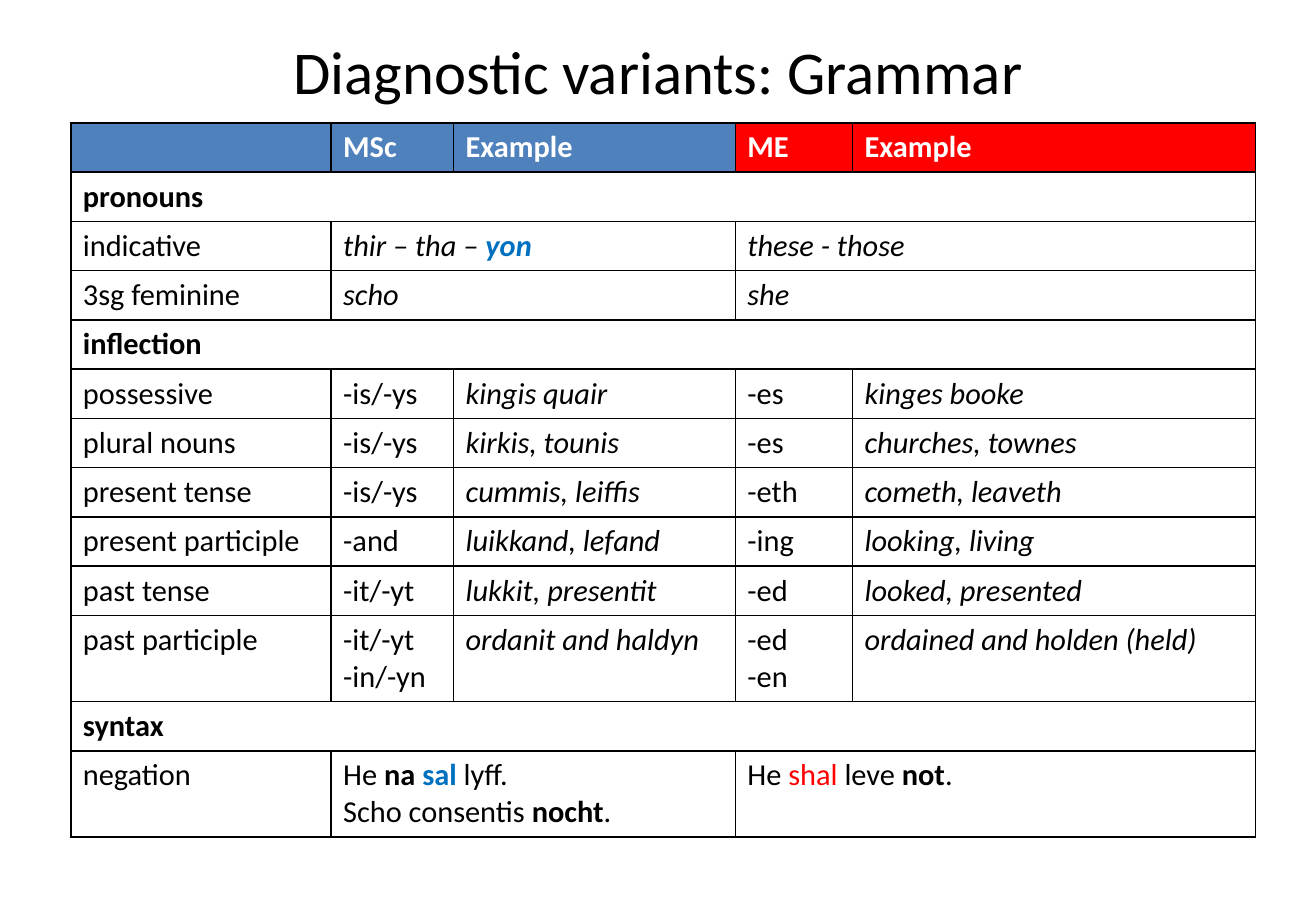
from dataclasses import dataclass

from lxml.etree import SubElement
from pptx import Presentation
from pptx.dml.color import RGBColor
from pptx.enum.text import MSO_ANCHOR, PP_ALIGN
from pptx.oxml.ns import qn
from pptx.table import _Cell
from pptx.text.text import _Paragraph
from pptx.util import Cm, Pt

FONT = "Calibri"
BLACK, WHITE, RED = "000000", "FFFFFF", "FF0000"
SCOTS_HEADER, SCOTS_ACCENT = "4F81BD", "0070C0"
COLUMN_WIDTHS = (5.44, 2.56, 5.89, 2.45, 8.43)
LINE_HEIGHT, CELL_PADDING = 0.77, 0.26


@dataclass(frozen=True)
class Run:
    text: str
    bold: bool = False
    italic: bool = False
    color: str = BLACK


@dataclass(frozen=True)
class Entry:
    lines: tuple[tuple[Run, ...], ...]
    span: int = 1
    fill: str = WHITE


def plain(*texts: str) -> Entry:
    return Entry(tuple((Run(text),) for text in texts))


def italic(text: str) -> Entry:
    return Entry(((Run(text, italic=True),),))


def wide(*lines: tuple[Run, ...]) -> Entry:
    return Entry(lines, span=2)


def header(text: str, fill: str) -> Entry:
    return Entry(((Run(text, bold=True, color=WHITE),),) if text else (), fill=fill)


def section(text: str) -> list[Entry]:
    return [Entry(((Run(text, bold=True),),), span=len(COLUMN_WIDTHS))]


def inflection(name: str, scots: tuple[str, ...], scots_example: str,
               english: tuple[str, ...], english_example: str) -> list[Entry]:
    return [plain(name), plain(*scots), italic(scots_example),
            plain(*english), italic(english_example)]


GRAMMAR_ROWS = [
    [header("", SCOTS_HEADER), header("MSc", SCOTS_HEADER), header("Example", SCOTS_HEADER),
     header("ME", RED), header("Example", RED)],
    section("pronouns"),
    [plain("indicative"),
     wide((Run("thir – tha – ", italic=True),
           Run("yon", bold=True, italic=True, color=SCOTS_ACCENT))),
     wide((Run("these - those", italic=True),))],
    [plain("3sg feminine"), wide((Run("scho", italic=True),)), wide((Run("she", italic=True),))],
    section("inflection"),
    inflection("possessive", ("-is/-ys",), "kingis quair", ("-es",), "kinges booke"),
    inflection("plural nouns", ("-is/-ys",), "kirkis, tounis", ("-es",), "churches, townes"),
    inflection("present tense", ("-is/-ys",), "cummis, leiffis", ("-eth",), "cometh, leaveth"),
    inflection("present participle", ("-and",), "luikkand, lefand", ("-ing",), "looking, living"),
    inflection("past tense", ("-it/-yt",), "lukkit, presentit", ("-ed",), "looked, presented"),
    inflection("past participle", ("-it/-yt", "-in/-yn"), "ordanit and haldyn",
               ("-ed", "-en"), "ordained and holden (held)"),
    section("syntax"),
    [plain("negation"),
     wide((Run("He "), Run("na ", bold=True),
           Run("sal ", bold=True, color=SCOTS_ACCENT), Run("lyff.")),
          (Run("Scho consentis "), Run("nocht", bold=True), Run("."))),
     wide((Run("He "), Run("shal ", color=RED), Run("leve "),
           Run("not", bold=True), Run(".")))],
]


def rgb(color: str) -> RGBColor:
    return RGBColor.from_string(color)


def add_run(paragraph: _Paragraph, run: Run, size: float) -> None:
    text_run = paragraph.add_run()
    text_run.text = run.text
    font = text_run.font
    font.name, font.size = FONT, Pt(size)
    font.bold, font.italic = run.bold, run.italic
    font.color.rgb = rgb(run.color)


def style_cell(cell: _Cell, fill: str) -> None:
    cell.fill.solid()
    cell.fill.fore_color.rgb = rgb(fill)
    properties = cell._tc.get_or_add_tcPr()
    for index, side in enumerate(("a:lnL", "a:lnR", "a:lnT", "a:lnB")):
        line = SubElement(properties, qn(side), w=str(Pt(1)))
        color_fill = SubElement(line, qn("a:solidFill"))
        SubElement(color_fill, qn("a:srgbClr"), val=BLACK)
        properties.insert(index, line)


def fill_cell(cell: _Cell, entry: Entry) -> None:
    text_frame = cell.text_frame
    for index, line in enumerate(entry.lines):
        paragraph = text_frame.add_paragraph() if index else text_frame.paragraphs[0]
        for run in line:
            add_run(paragraph, run, 18)


presentation = Presentation()
presentation.slide_width, presentation.slide_height = Cm(27.51), Cm(19.05)
slide = presentation.slides.add_slide(presentation.slide_layouts[6])

title = slide.shapes.add_textbox(Cm(1.37), Cm(0.43), Cm(24.77), Cm(2.06)).text_frame
title.word_wrap = True
title.vertical_anchor = MSO_ANCHOR.MIDDLE
title.paragraphs[0].alignment = PP_ALIGN.CENTER
add_run(title.paragraphs[0], Run("Diagnostic variants: Grammar"), 36)

row_heights = [CELL_PADDING + LINE_HEIGHT * max(len(entry.lines) for entry in row)
               for row in GRAMMAR_ROWS]
table = slide.shapes.add_table(
    len(GRAMMAR_ROWS), len(COLUMN_WIDTHS), Cm(1.48), Cm(2.57),
    Cm(sum(COLUMN_WIDTHS)), Cm(sum(row_heights))).table
table.first_row = table.horz_banding = False
for column, width in zip(table.columns, COLUMN_WIDTHS):
    column.width = Cm(width)

for row_index, row in enumerate(GRAMMAR_ROWS):
    table.rows[row_index].height = Cm(row_heights[row_index])
    column_index = 0
    for entry in row:
        cell = table.cell(row_index, column_index)
        last_column = column_index + entry.span - 1
        for covered_column in range(column_index, last_column + 1):
            style_cell(table.cell(row_index, covered_column), entry.fill)
        if entry.span > 1:
            cell.merge(table.cell(row_index, last_column))
        fill_cell(cell, entry)
        column_index = last_column + 1

presentation.save("out.pptx")
